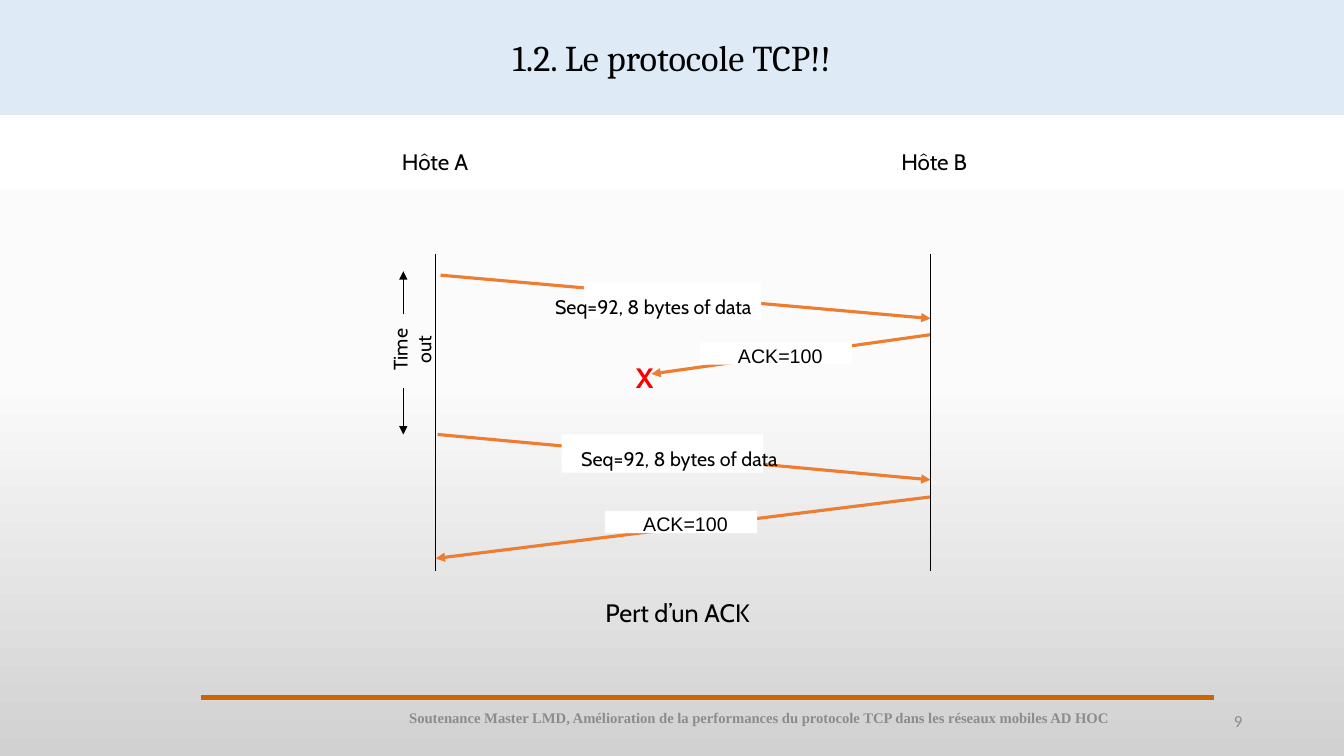
from lxml import etree
from pptx import Presentation
from pptx.dml.color import RGBColor
from pptx.enum.shapes import MSO_CONNECTOR, MSO_SHAPE
from pptx.enum.text import MSO_ANCHOR, PP_ALIGN
from pptx.oxml.ns import qn
from pptx.util import Inches, Pt

RECT, LINE = MSO_SHAPE.RECTANGLE, MSO_CONNECTOR.STRAIGHT
TOP, MID = MSO_ANCHOR.TOP, MSO_ANCHOR.MIDDLE
MIDDLE, RIGHT = PP_ALIGN.CENTER, PP_ALIGN.RIGHT
BLACK, WHITE = RGBColor(0, 0, 0), RGBColor(255, 255, 255)
RED, GREY = RGBColor(255, 0, 0), RGBColor(0x8C, 0x8C, 0x8C)
ORANGE, RUST = RGBColor(0xED, 0x7D, 0x31), RGBColor(0xCC, 0x66, 0)
BLUE = RGBColor(0xDE, 0xEB, 0xF7)
FADE = [(0, "FFFFFF"), (50, "FBFBFB"), (100, "D1D1D1")]

# Content: places are in hundredths of the slide's width and height
WIDE, HIGH = 13.33, 7.5
HOST_A, HOST_B, TIMER = 32.41, 69.24, 30.01
SEQ, ACK = "Seq=92, 8 bytes of data", "ACK=100"

STYLES = {
    "title": dict(size=Pt(25.9), name="Cambria"),
    "host": dict(size=Pt(16), name="Cabin"),
    "seq": dict(size=Pt(14), name="Cabin"),
    "ack": dict(size=Pt(14), name="Arial"),
    "loss": dict(size=Pt(20), name="Cabin", bold=True),
    "caption": dict(size=Pt(18), name="Cabin"),
    "footer": dict(size=Pt(10.5), name="Times New Roman", bold=True),
    "number": dict(size=Pt(12), name="Calibri"),
}
TINTS = {"loss": RED, "footer": GREY, "number": GREY}

MESSAGES = [
    (32.78, 36.4, HOST_B, 42.13),
    (HOST_B, 44.27, 48.46, 49.47),
    (32.56, 57.47, HOST_B, 63.47),
    (HOST_B, 65.73, HOST_A, 73.87),
]
PATCHES = [
    (43.44, 37.47, 13.2, 4.8),
    (52.06, 45.33, 11.33, 2.93),
    (41.79, 57.47, 15, 5.07),
    (45.01, 67.6, 11.33, 2.93),
]
LABELS = [
    (SEQ, "seq", (37.43, 38.4, 22.36, 4.53)),
    (ACK, "ack", (52.96, 44.8, 10.2, 4.53)),
    (SEQ, "seq", (39.38, 58.4, 22.36, 4.53)),
    (ACK, "ack", (45.91, 67.07, 10.2, 4.53)),
    ("X", "loss", (46.06, 47.07, 3.83, 5.87)),
    ("Hôte A", "host", (28.13, 18.93, 8.48, 4.93)),
    ("Hôte B", "host", (65.27, 18.93, 8.48, 4.93)),
    ("Pert d’un ACK", "caption", (43.96, 78.4, 12.9, 5.33)),
]
TITLE = "1.2. Le protocole TCP!!"
FOOTER = ("Soutenance Master LMD, Amélioration de la performances "
          "du protocole TCP dans les réseaux mobiles AD HOC")

deck = Presentation()
deck.slide_width, deck.slide_height = Inches(WIDE), Inches(HIGH)
slide = deck.slides.add_slide(deck.slide_layouts[6])
shapes = slide.shapes


def place(spot):
    """Turn shares of the slide, x and y by turns, into lengths."""
    return [Inches(part * (HIGH if i % 2 else WIDE) / 100)
            for i, part in enumerate(spot)]


def write(shape, text, style, align=MIDDLE, anchor=TOP, wrap=False):
    frame = shape.text_frame
    frame.word_wrap, frame.vertical_anchor = wrap, anchor
    para = frame.paragraphs[0]
    para.alignment = align
    run = para.add_run()
    run.text = text
    for key, value in STYLES[style].items():
        setattr(run.font, key, value)
    run.font.color.rgb = TINTS.get(style, BLACK)


def label(text, style, spot, **opts):
    box = shapes.add_textbox(*place(spot))
    write(box, text, style, **opts)
    return box


def block(spot, color):
    shape = shapes.add_shape(RECT, *place(spot))
    shape.shadow.inherit = False
    shape.fill.solid()
    shape.fill.fore_color.rgb = color
    shape.line.fill.background()
    return shape


def draw(ends, color, width, arrow=False):
    link = shapes.add_connector(LINE, *place(ends))
    link.line.color.rgb, link.line.width = color, Pt(width)
    if arrow:
        etree.SubElement(link.line._get_or_add_ln(), qn("a:tailEnd"),
                         type="triangle")
    etree.SubElement(link._element.spPr, qn("a:effectLst"))


# Background fade, top to bottom
fill = slide.background.fill
fill.gradient()
fill.gradient_angle = 270
stops = next(slide._element.iter(qn("a:gsLst")))
for stop in list(stops):
    stops.remove(stop)
for share, tone in FADE:
    stop = etree.SubElement(stops, qn("a:gs"), pos=str(share * 1000))
    etree.SubElement(stop, qn("a:srgbClr"), val=tone)

# Title bar and footer
write(block((0, 0, 100, 15.2), BLUE), TITLE, "title", anchor=MID, wrap=True)
draw((14.93, 92.27, 90.32, 92.27), RUST, 3)
label(FOOTER, "footer", (22.66, 92.27, 67.67, 5.33), anchor=MID, wrap=True)
label("9", "number", (70.67, 92.67, 22.51, 5.33),
      align=RIGHT, anchor=MID, wrap=True)

# Messages between the hosts
for ends in MESSAGES:
    draw(ends, ORANGE, 2.25, arrow=True)
for spot in PATCHES:
    block(spot, WHITE)
for host in (HOST_A, HOST_B):
    draw((host, 33.6, host, 75.5), BLACK, 0.5)
for text, style, spot in LABELS:
    label(text, style, spot)

# Timer
label("Time out", "seq", (26.52, 44, 6.53, 4.53)).rotation = 270
for start, end in ((41.6, 35.87), (51.33, 57.47)):
    draw((TIMER, start, TIMER, end), BLACK, 0.75, arrow=True)

deck.save("out.pptx")
